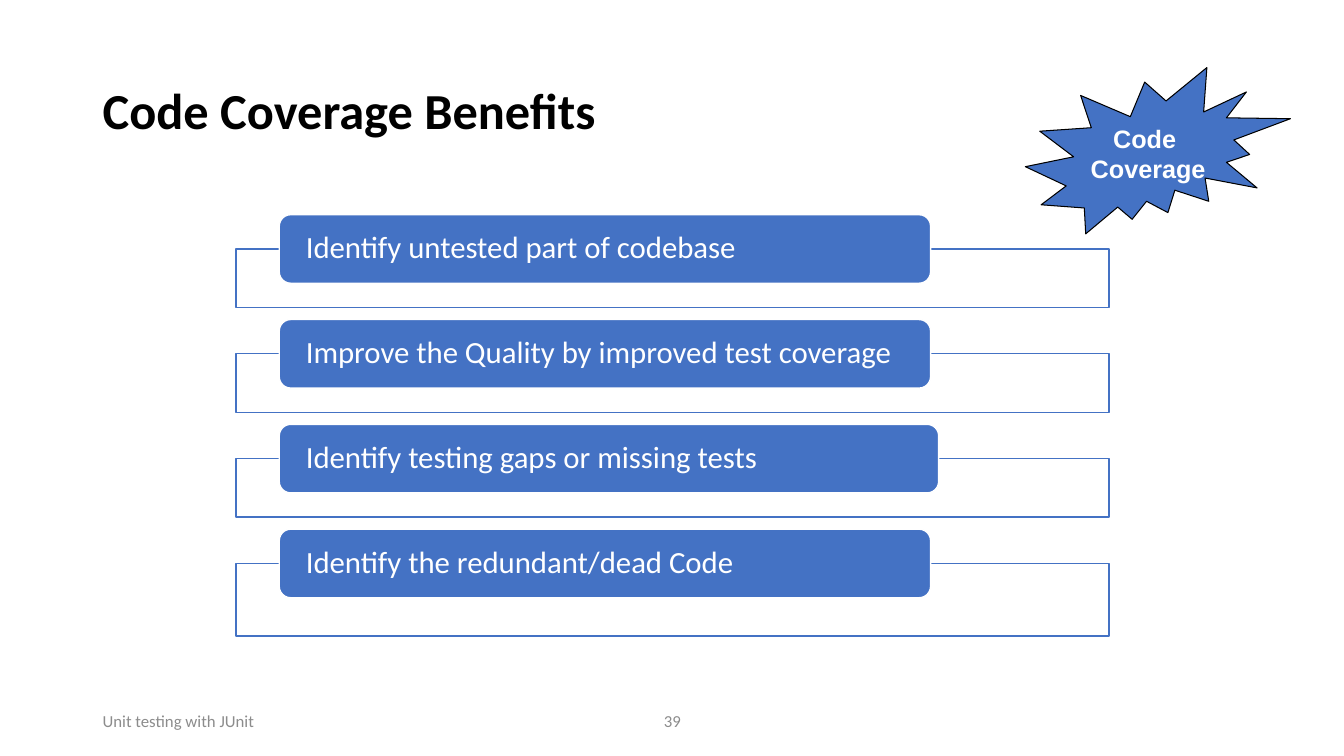
from dataclasses import dataclass

from pptx import Presentation
from pptx.dml.color import RGBColor
from pptx.enum.shapes import MSO_SHAPE as Shape
from pptx.enum.text import MSO_ANCHOR as Anchor, PP_ALIGN as Align
from pptx.util import Inches, Pt


@dataclass(frozen=True)
class Theme:
    accent: str = "4472C4"
    white: str = "FFFFFF"
    black: str = "000000"
    grey: str = "8C8C8C"
    body_font: str = "Calibri"
    badge_font: str = "Arial"
    title_size: int = 36
    benefit_size: int = 22
    badge_size: int = 18
    footer_size: int = 12


def write(sp, text, *, size, color, font, bold=False, align=Align.LEFT,
          spacing=1.0, inset=(0.1, 0.05), wrap=True):
    tf = sp.text_frame
    tf.word_wrap = wrap
    tf.vertical_anchor = Anchor.MIDDLE
    tf.margin_left = tf.margin_right = Inches(inset[0])
    tf.margin_top = tf.margin_bottom = Inches(inset[1])
    tf.text = text
    for p in tf.paragraphs:
        p.alignment = align
        p.line_spacing = spacing
        for r in p.runs:
            r.font.name = font
            r.font.size = Pt(size)
            r.font.bold = bold
            r.font.color.rgb = RGBColor.from_string(color)


class SlideBuilder:
    """Draws styled elements on the current slide."""

    def __init__(self, prs, theme):
        self.theme = theme
        self.s = prs.slides.add_slide(prs.slide_layouts[6])

    def text(self, box, text, **fmt):
        sp = self.s.shapes.add_textbox(*map(Inches, box))
        write(sp, text, font=self.theme.body_font, **fmt)

    def shape(self, kind, box, fill, line, width=1):
        sp = self.s.shapes.add_shape(kind, *map(Inches, box))
        sp.shadow.inherit = False
        sp.fill.solid()
        sp.fill.fore_color.rgb = RGBColor.from_string(fill)
        sp.line.color.rgb = RGBColor.from_string(line)
        sp.line.width = Pt(width)
        return sp

    def footer(self, left, width, text, align=Align.LEFT):
        self.text((left, 6.95, width, 0.4), text, align=align,
                  size=self.theme.footer_size, color=self.theme.grey)

    def badge(self, box, text):
        t = self.theme
        sp = self.shape(Shape.EXPLOSION2, box, t.accent, t.black, 0.75)
        write(sp, text, size=t.badge_size, color=t.white, font=t.badge_font,
              bold=True, align=Align.CENTER, wrap=False)

    def benefit(self, top, text, label_width, frame_height):
        t = self.theme
        self.shape(Shape.RECTANGLE, (2.34, top + 0.34, 8.66, frame_height),
                   t.white, t.accent)
        sp = self.shape(Shape.ROUNDED_RECTANGLE, (2.77, top, label_width, 0.68),
                        t.accent, t.white)
        write(sp, text, size=t.benefit_size, color=t.white, font=t.body_font,
              spacing=0.9, inset=(0.23, 0))


theme = Theme()
prs = Presentation()
prs.slide_width, prs.slide_height = Inches(13.33), Inches(7.5)
slide = SlideBuilder(prs, theme)

slide.footer(0.92, 3, "Unit testing with JUnit")
slide.footer(4.42, 4.5, "39", Align.CENTER)
slide.text((0.92, 0.4, 11.5, 1.45), "Code Coverage Benefits", bold=True,
           size=theme.title_size, color=theme.black, spacing=0.9)
slide.badge((10.17, 0.67, 2.63, 1.65), "Code \nCoverage")

BENEFITS = [
    ("Identify untested part of codebase", 6.46, 0.58),
    ("Improve the Quality by improved test coverage", 6.46, 0.58),
    ("Identify testing gaps or missing tests", 6.54, 0.58),
    ("Identify the redundant/dead Code", 6.46, 0.72),
]
FIRST_TOP, PITCH = 2.13, 1.04
for i, (text, label_width, frame_height) in enumerate(BENEFITS):
    slide.benefit(FIRST_TOP + i * PITCH, text, label_width, frame_height)

prs.save("out.pptx")
